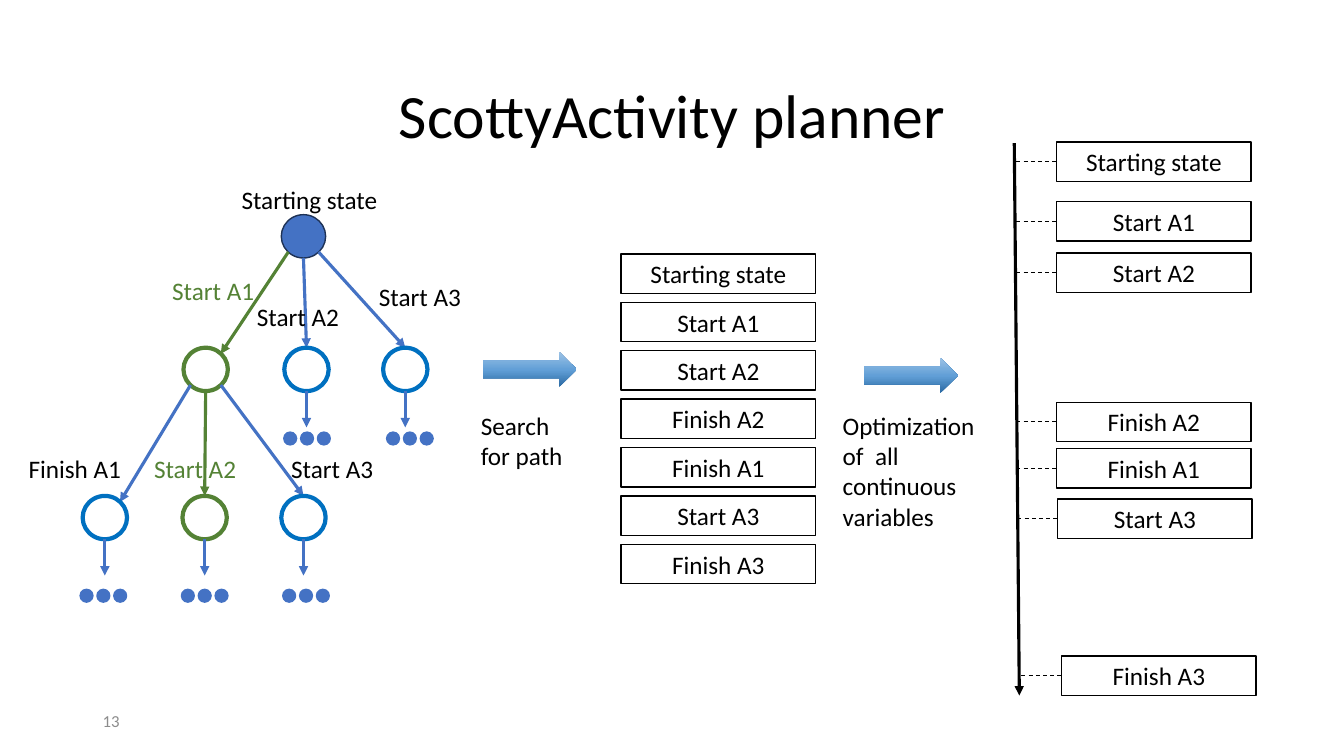
from copy import deepcopy
from dataclasses import dataclass
from typing import Optional

from lxml.etree import SubElement
from pptx import Presentation
from pptx.dml.color import RGBColor
from pptx.enum.dml import MSO_LINE_DASH_STYLE as Dash
from pptx.enum.shapes import MSO_CONNECTOR as Link, MSO_SHAPE as Preset
from pptx.enum.text import MSO_ANCHOR as Anchor, PP_ALIGN as Align
from pptx.oxml.ns import qn
from pptx.util import Inches, Pt

BLACK = RGBColor(0x00, 0x00, 0x00)
WHITE = RGBColor(0xFF, 0xFF, 0xFF)
GRAY = RGBColor(0x8C, 0x8C, 0x8C)
BLUE = RGBColor(0x44, 0x72, 0xC4)
NAVY = RGBColor(0x1E, 0x32, 0x56)
RING_BLUE = RGBColor(0x00, 0x70, 0xC0)
GREEN = RGBColor(0x54, 0x82, 0x35)
ARROW_STOPS = (
    (0, RGBColor(0x2A, 0x69, 0xA2)),
    (0.48, RGBColor(0x60, 0x9E, 0xD6)),
    (1, RGBColor(0x9D, 0xC3, 0xE6)),
)

# The grid has 133.3 columns and 75 rows; every length below counts them.
COLUMNS, ROWS = 133.3, 75
NODE_W, NODE_H = 4.4, 4.3
RIM_X, RIM_Y = 1.5, 1.55
DOT, DOT_STEP = 1.2, 1.67
STEP_W, STEP_H = 19.3, 3.9
LEAF_ARROW = 3.6
TICK = 4

prs = Presentation()
prs.slide_width, prs.slide_height = Inches(13.33), Inches(7.5)
slide = prs.slides.add_slide(prs.slide_layouts[6])
shapes = slide.shapes


@dataclass(frozen=True)
class Node:
    """A search state, placed by its centre; side tells where it leaves its parent."""
    x: float
    y: float
    ring: RGBColor
    label: str
    label_box: tuple[float, float, float]
    parent: Optional["Node"] = None
    side: int = 0
    dots: Optional[tuple[float, float]] = None


@dataclass(frozen=True)
class Step:
    action: str
    left: float
    top: float


@dataclass(frozen=True)
class Phase:
    caption: str
    caption_box: tuple[float, float, float, float]
    arrow: tuple[float, float]


ROOT = Node(30.1, 23.45, NAVY, "Starting state", (14.8, 17.8, 23.6))
START_A1 = Node(20.4, 36.65, GREEN, "Start A1", (2.6, 26.8, 23.6), ROOT, -1)
NODES = (
    ROOT,
    START_A1,
    Node(30.4, 36.65, RING_BLUE, "Start A2", (23.7, 29.4, 10.9), ROOT, 0, (30.45, 43.5)),
    Node(40.2, 36.65, RING_BLUE, "Start A3", (35, 27.4, 11.7), ROOT, 1, (40.65, 43.5)),
    Node(20.3, 51.35, GREEN, "Start A2", (13.5, 44.5, 10.9), START_A1, 0, (20.3, 59.1)),
    Node(30.1, 51.35, RING_BLUE, "Start A3", (26.3, 44.5, 11.7), START_A1, 1, (30.35, 59.1)),
    Node(10.4, 51.35, RING_BLUE, "Finish A1", (-10.6, 44.5, 23.6), START_A1, -1, (10.25, 59.1)),
)
PLAN = ("Starting state", "Start A1", "Start A2", "Finish A2",
        "Finish A1", "Start A3", "Finish A3")
SCHEDULE = tuple(
    Step(action, left, top)
    for action, left, top in zip(
        PLAN,
        (104.8,) * 5 + (104.9, 105.3),
        (14.1, 20, 25.1, 39.9, 44.5, 49.5, 65.1),
    )
)
PHASES = (
    Phase("Search for path", (46.7, 40.2, 12.1, 7.1), (47.9, 34.9)),
    Phase("Optimization of  all continuous variables", (82.6, 40.2, 17.4, 13.1), (85.7, 35.5)),
)


def col(count: float) -> int:
    return round(prs.slide_width * count / COLUMNS)


def row(count: float) -> int:
    return round(prs.slide_height * count / ROWS)


def apply(target, values: dict) -> None:
    for attribute, value in values.items():
        setattr(target, attribute, value)


def write(holder, words: str, align=Align.LEFT, anchor=Anchor.TOP,
          size: float = 18, color: RGBColor = BLACK, **frame_values) -> None:
    frame = holder.text_frame
    apply(frame, {"word_wrap": True, "vertical_anchor": anchor, **frame_values})
    paragraph = frame.paragraphs[0]
    paragraph.alignment = align
    run = paragraph.add_run()
    run.text = words
    apply(run.font, {"name": "Calibri", "size": Pt(size)})
    run.font.color.rgb = color


def add_words(box: tuple[float, float, float, float], words: str, **style) -> None:
    left, top, width, height = box
    write(shapes.add_textbox(col(left), row(top), col(width), row(height)), words, **style)


def add_preset(kind, left: float, top: float, width: float, height: float,
               fill: Optional[RGBColor], line: Optional[RGBColor], weight: float = 1):
    shape = shapes.add_shape(kind, col(left), row(top), col(width), row(height))
    shape.shadow.inherit = False
    for part, color in ((shape.fill, fill), (shape.line.fill, line)):
        if color is None:
            part.background()
        else:
            part.solid()
            part.fore_color.rgb = color
    if line is not None:
        shape.line.width = Pt(weight)
    return shape


def add_line(start: tuple[float, float], end: tuple[float, float], color: RGBColor,
             weight: float = 2.25, arrow: bool = True):
    line = shapes.add_connector(
        Link.STRAIGHT, col(start[0]), row(start[1]), col(end[0]), row(end[1]))
    line.line.color.rgb = color
    line.line.width = Pt(weight)
    if arrow:
        SubElement(line.line._get_or_add_ln(), qn("a:tailEnd"), type="triangle")
    SubElement(line._element.spPr, qn("a:effectLst"))
    return line


def draw_node(node: Node) -> None:
    """Draw a state with the edge from its parent, its label and its open branch."""
    if node.parent:
        start = (node.parent.x + node.side * RIM_X,
                 node.parent.y + (RIM_Y if node.side else NODE_H / 2))
        end = ((node.x + RIM_X, node.y - RIM_Y) if node.side < 0
               else (node.x, node.y - NODE_H / 2))
        add_line(start, end, GREEN if node.ring == GREEN else BLUE)
    add_preset(Preset.OVAL, node.x - NODE_W / 2, node.y - NODE_H / 2, NODE_W, NODE_H,
               None if node.parent else BLUE, node.ring, 3 if node.parent else 1)
    add_words((*node.label_box, 4), node.label, align=Align.RIGHT,
              color=GREEN if node.ring == GREEN else BLACK)
    if node.dots:
        bottom = node.y + NODE_H / 2
        add_line((node.x, bottom), (node.x, bottom + LEAF_ARROW), BLUE)
        middle, level = node.dots
        for place in (-1, 0, 1):
            add_preset(Preset.OVAL, middle + place * DOT_STEP - DOT / 2, level - DOT / 2,
                       DOT, DOT, BLUE, BLUE, 1.5)


def draw_step(step: Step):
    box = add_preset(Preset.RECTANGLE, step.left, step.top, STEP_W, STEP_H, WHITE, BLACK)
    write(box, step.action, align=Align.CENTER, anchor=Anchor.MIDDLE)
    return box


def draw_phase(phase: Phase) -> None:
    arrow = add_preset(Preset.RIGHT_ARROW, *phase.arrow, 9.3, 3.5, None, None)
    arrow.fill.gradient()
    stop_list = arrow._element.spPr.find(".//" + qn("a:gsLst"))
    stop_list.insert(1, deepcopy(stop_list[0]))
    for stop, (position, color) in zip(arrow.fill.gradient_stops, ARROW_STOPS):
        stop.position = position
        stop.color.rgb = color
    arrow.fill.gradient_angle = 90
    add_words(phase.caption_box, phase.caption, margin_right=col(2))


def draw_timeline() -> None:
    add_line((100.6, 14.2), (101.1, 69), BLACK)
    for step in SCHEDULE:
        box = draw_step(step)
        middle = step.top + STEP_H / 2
        tick = add_line((step.left - TICK, middle), (step.left, middle), BLACK, 0.75, False)
        tick.line.dash_style = Dash.DASH
        tick.end_connect(box, 1)


def main() -> None:
    add_words((9.2, 69.5, 30, 4), "13", anchor=Anchor.MIDDLE, size=12, color=GRAY)
    add_words((9.2, 4, 115, 14.5), "ScottyActivity planner",
              align=Align.CENTER, anchor=Anchor.MIDDLE, size=44)
    for node in NODES:
        draw_node(node)
    for index, action in enumerate(PLAN):
        draw_step(Step(action, 61.6, 25.2 + 4.8 * index))
    for phase in PHASES:
        draw_phase(phase)
    draw_timeline()
    prs.save("out.pptx")


if __name__ == "__main__":
    main()
